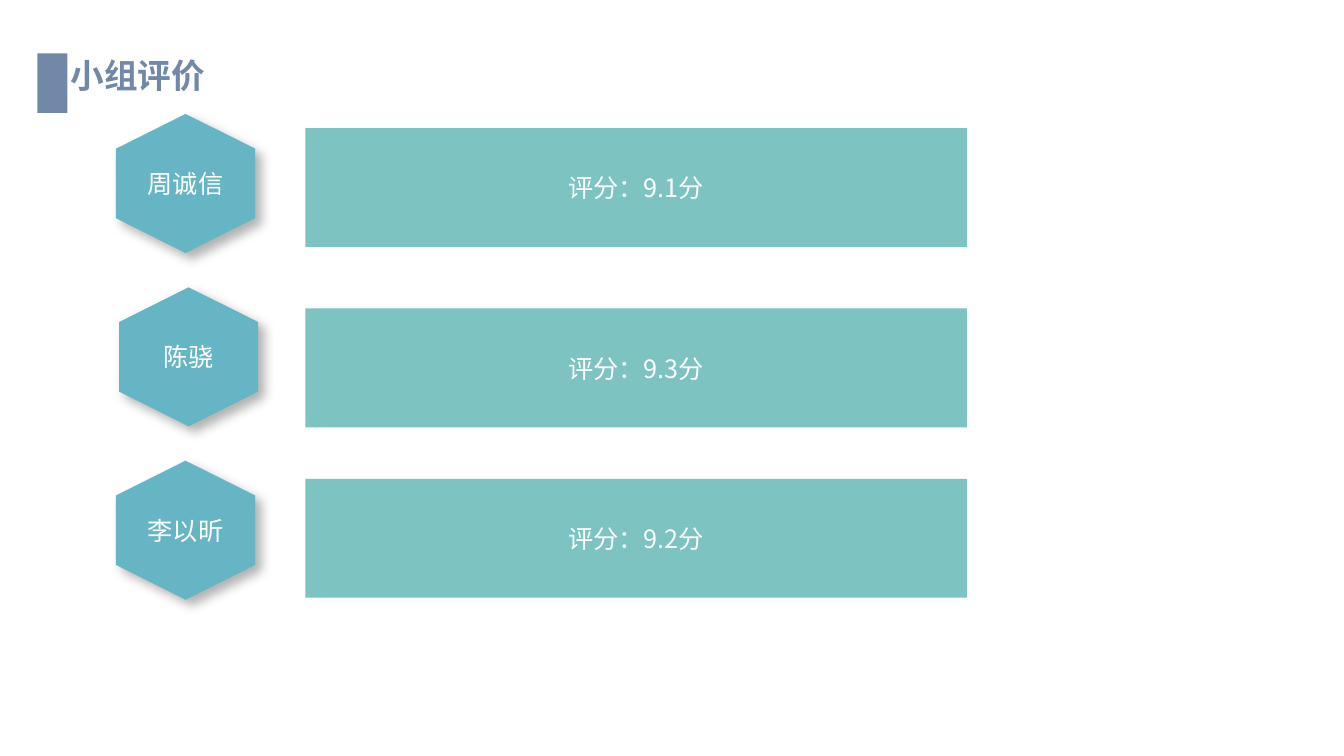
from lxml import etree
from pptx import Presentation
from pptx.dml.color import RGBColor
from pptx.enum.shapes import MSO_SHAPE as Shape
from pptx.enum.text import MSO_ANCHOR as Anchor, MSO_AUTO_SIZE as Auto, PP_ALIGN as Align
from pptx.oxml import parse_xml
from pptx.oxml.ns import nsdecls, qn
from pptx.util import Inches, Pt

SLATE = RGBColor(0x71, 0x88, 0xA8)
BLUE = RGBColor(0x66, 0xB5, 0xC4)
TEAL = RGBColor(0x7D, 0xC3, 0xC1)
WHITE = RGBColor(0xFF, 0xFF, 0xFF)
SANS = "Noto Sans CJK SC"
SHADOW = (
    f'<a:outerShdw {nsdecls("a")} blurRad="{Pt(8)}" dist="{Pt(6)}" dir="2700000" '
    'algn="tl" rotWithShape="0"><a:srgbClr val="000000"><a:alpha val="30000"/>'
    '</a:srgbClr></a:outerShdw>'
)


def add_block(kind, box, color):
    block = slide.shapes.add_shape(kind, *map(Inches, box))
    block.shadow.inherit = False
    block.fill.solid()
    block.fill.fore_color.rgb = color
    block.line.fill.background()
    return block


def write(frame, text, color, align, **font):
    """Put one styled run in the frame, with SANS for Chinese letters."""
    para = frame.paragraphs[0]
    para.alignment = align
    run = para.add_run()
    run.text = text
    run.font.color.rgb = color
    for name, value in font.items():
        setattr(run.font, name, value)
    etree.SubElement(run.font._element, qn("a:ea"), typeface=SANS)


deck = Presentation()
deck.slide_width = Inches(13.33)
deck.slide_height = Inches(7.5)
slide = deck.slides.add_slide(deck.slide_layouts[6])

# Title with its marker
title = slide.shapes.add_textbox(*map(Inches, (0.6, 0.5, 1.55, 0.5))).text_frame
title.word_wrap = False
title.auto_size = Auto.SHAPE_TO_FIT_TEXT
write(title, "小组评价", SLATE, Align.LEFT, name=SANS, size=Pt(24), bold=True)
add_block(Shape.RECTANGLE, (0.37, 0.53, 0.3, 0.59), SLATE)

# One row per member: name, name font, hexagon left and top, bar top, score
rows = [
    ("周诚信", SANS, 1.15, 1.13, 1.27, "9.1"),
    ("陈骁", "Calibri", 1.18, 2.85, 3.06, "9.3"),
    ("李以昕", "Calibri", 1.15, 4.57, 4.75, "9.2"),
]
for member, face, left, top, bar_top, score in rows:
    bar = add_block(Shape.RECTANGLE, (3.03, bar_top, 6.56, 1.18), TEAL)
    hexagon = add_block(Shape.HEXAGON, (left, top, 1.38, 1.38), BLUE)
    hexagon.rotation = 90
    hexagon._element.spPr.find(qn("a:effectLst")).append(parse_xml(SHADOW))
    # Turn the text back upright inside the rotated hexagon
    hexagon.text_frame._txBody.bodyPr.set("vert", "vert270")
    for side in ("left", "right", "top", "bottom"):
        setattr(hexagon.text_frame, f"margin_{side}", 0)

    for block, text, name in ((bar, f"评分：{score}分", SANS), (hexagon, member, face)):
        block.text_frame.vertical_anchor = Anchor.MIDDLE
        write(block.text_frame, text, WHITE, Align.CENTER, name=name, size=Pt(18))

deck.save("out.pptx")
